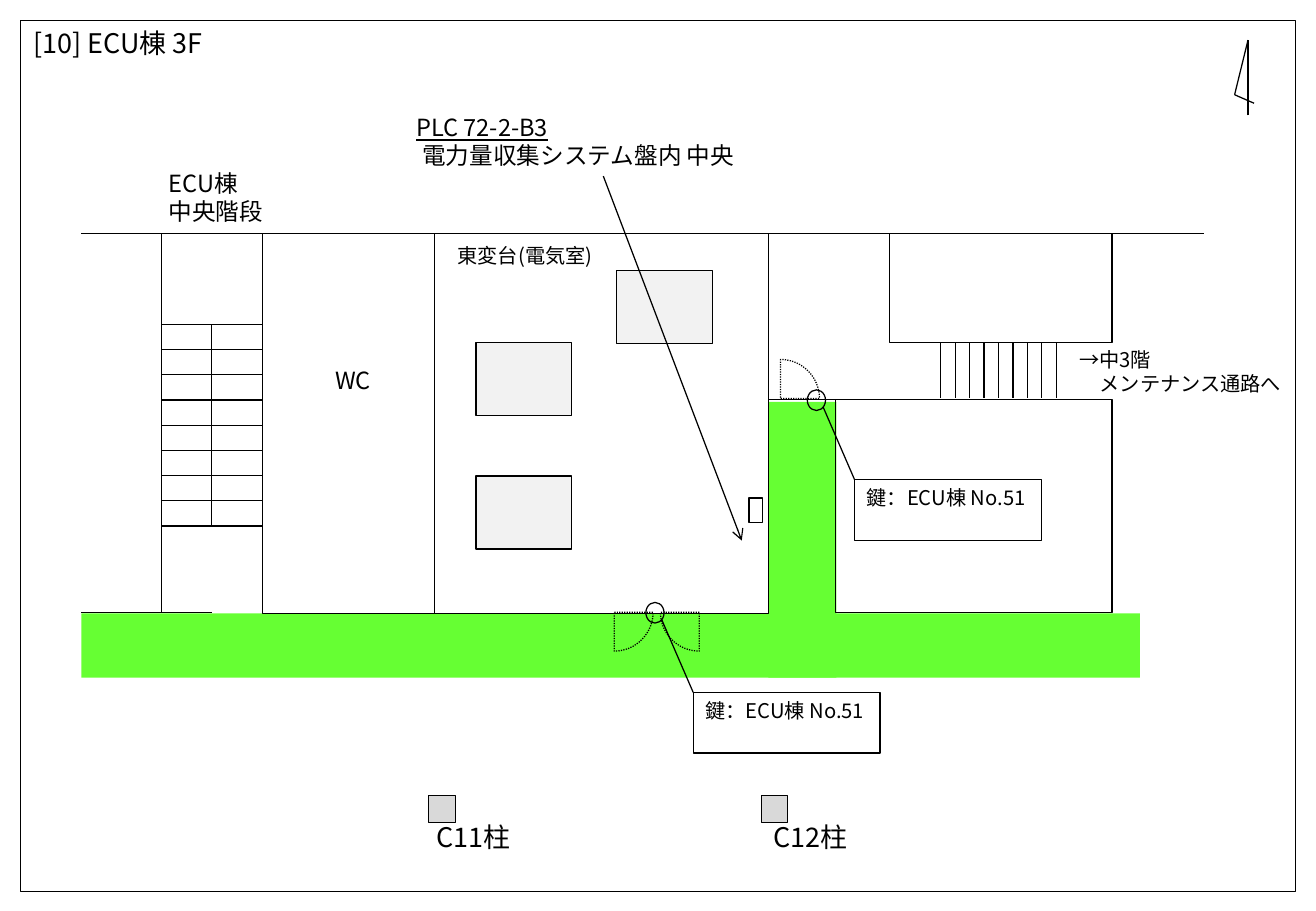
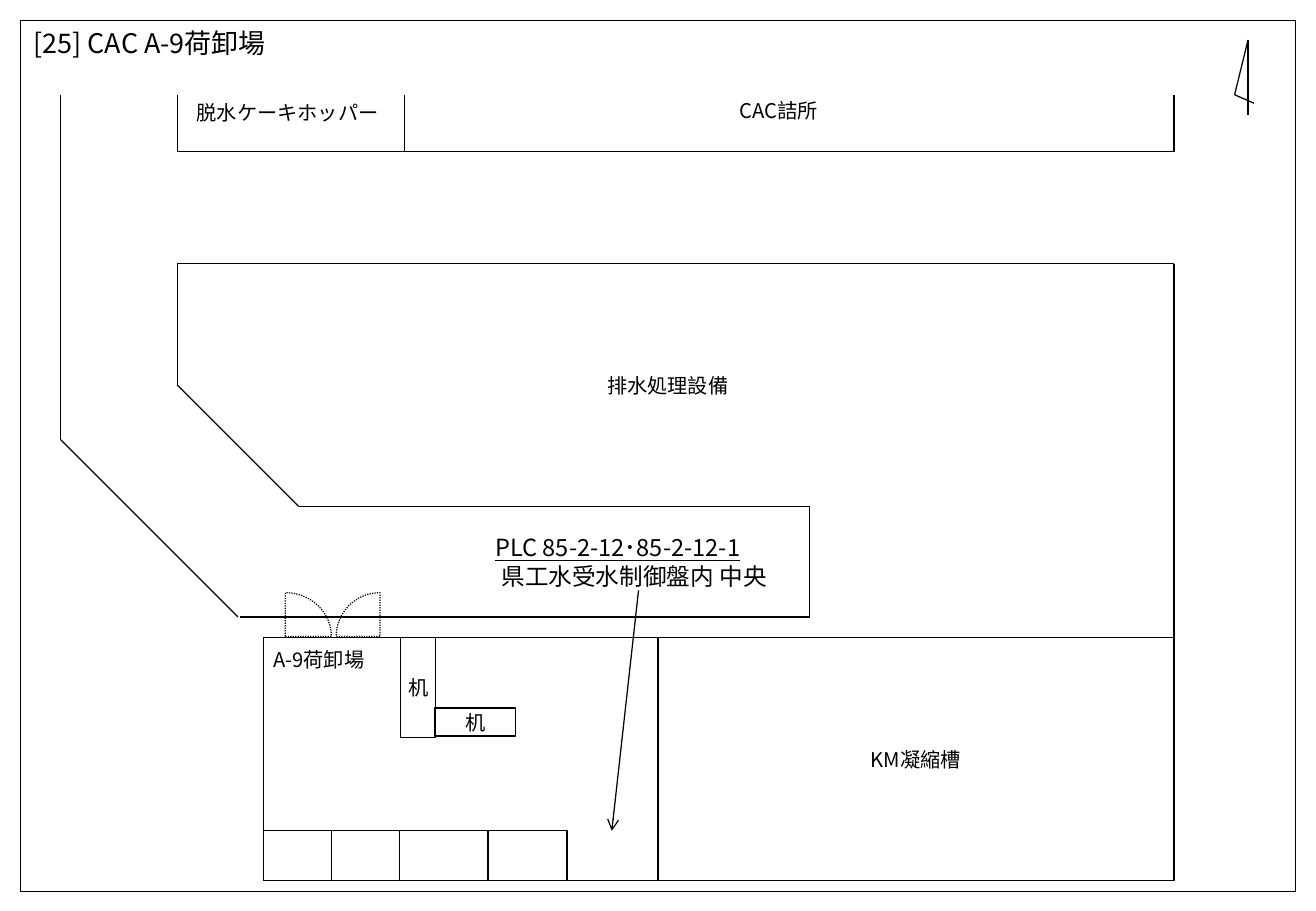
import math
from itertools import pairwise

from lxml import etree
from pptx import Presentation
from pptx.dml.color import RGBColor
from pptx.enum import dml, shapes, text
from pptx.oxml.ns import qn
from pptx.util import Inches, Pt

BLACK = RGBColor(0x00, 0x00, 0x00)
WHITE = RGBColor(0xFF, 0xFF, 0xFF)
ROUTE_GREEN = RGBColor(0x66, 0xFF, 0x33)
PILLAR_GREY = RGBColor(0xD9, 0xD9, 0xD9)
PANEL_GREY = RGBColor(0xF2, 0xF2, 0xF2)
FONT = "Noto Sans CJK JP"
LINE_WIDTH = Pt(0.75)
RECT = shapes.MSO_SHAPE.RECTANGLE
OVAL = shapes.MSO_SHAPE.OVAL


# Text
def write(frame, content, size=12, align=text.PP_ALIGN.LEFT,
          anchor=text.MSO_ANCHOR.TOP, inset=(0.1, 0.05),
          underline_first=False, indent=0):
    """Write lines into a frame; indent applies to lines after the first."""
    frame.word_wrap = True
    frame.vertical_anchor = anchor
    frame.margin_left = frame.margin_right = Inches(inset[0])
    frame.margin_top = frame.margin_bottom = Inches(inset[1])
    for number, line in enumerate(content.split("\n")):
        paragraph = frame.add_paragraph() if number else frame.paragraphs[0]
        paragraph.alignment = align
        if number and indent:
            paragraph._p.get_or_add_pPr().set("marL", str(Inches(indent)))
        run = paragraph.add_run()
        run.text = line
        run.font.size = Pt(size)
        run.font.name = FONT
        run.font.color.rgb = BLACK
        if underline_first and number == 0:
            run.font.underline = True
        east_asian = etree.SubElement(run._r.get_or_add_rPr(), qn("a:ea"))
        east_asian.set("typeface", FONT)


def label(slide, x, y, w, h, content, **style):
    frame = slide.shapes.add_textbox(*map(Inches, (x, y, w, h))).text_frame
    write(frame, content, **style)


# Outlines and lines
def style_shape(shape, fill=None, outlined=True):
    shape.shadow.inherit = False
    if fill is None:
        shape.fill.background()
    else:
        shape.fill.solid()
        shape.fill.fore_color.rgb = fill
    if outlined:
        shape.line.color.rgb = BLACK
        shape.line.width = LINE_WIDTH
    else:
        shape.line.fill.background()


def area(slide, x, y, w, h, content=None, kind=RECT, fill=None,
         outlined=True, **style):
    shape = slide.shapes.add_shape(kind, *map(Inches, (x, y, w, h)))
    style_shape(shape, fill, outlined)
    if content:
        write(shape.text_frame, content, **style)


def room(slide, x, y, w, h, name):
    area(slide, x, y, w, h, name, align=text.PP_ALIGN.CENTER,
         anchor=text.MSO_ANCHOR.MIDDLE, inset=(0, 0))


def wall(slide, *points, arrow=False):
    """Draw straight lines through the given points."""
    for start, end in pairwise(points):
        segment = slide.shapes.add_connector(
            shapes.MSO_CONNECTOR.STRAIGHT, *map(Inches, (*start, *end)))
        segment.line.color.rgb = BLACK
        segment.line.width = LINE_WIDTH
        if arrow:
            tail = etree.SubElement(segment.line._get_or_add_ln(),
                                    qn("a:tailEnd"))
            tail.set("type", "arrow")
        etree.SubElement(segment._element.spPr, qn("a:effectLst"))


def door_leaf(slide, hinge_x, hinge_y, dx, dy, steps=24):
    """Dotted quarter circle swung from the hinge towards dx, dy."""
    angles = [math.pi / 2 * step / steps for step in range(steps + 1)]
    arc = [(Inches(hinge_x + dx * math.cos(a)),
            Inches(hinge_y + dy * math.sin(a))) for a in angles]
    builder = slide.shapes.build_freeform(Inches(hinge_x), Inches(hinge_y))
    builder.add_line_segments(arc, close=True)
    leaf = builder.convert_to_shape()
    style_shape(leaf)
    leaf.line.dash_style = dml.MSO_LINE.ROUND_DOT


def key_callout(slide, x, y):
    area(slide, x, y, 1.54, 0.5, "鍵：ECU棟 No.51", fill=WHITE)
    area(slide, x - 0.39, y - 0.74, 0.15, 0.17, kind=OVAL)
    wall(slide, (x - 0.26, y - 0.6), (x, y))


# Parts that both slides share
def add_map_slide(deck, title):
    slide = deck.slides.add_slide(deck.slide_layouts[6])
    area(slide, 0.17, 0.17, 10.5, 7.17)
    label(slide, 0.18, 0.17, 2.57, 0.37, title, size=16)
    # North mark
    wall(slide, (10.28, 0.95), (10.28, 0.33), (10.17, 0.78), (10.33, 0.85))
    return slide


def build_ecu_floor(deck):
    slide = add_map_slide(deck, "[10] ECU棟 3F")
    north, south = 1.92, 5.05

    # Green route
    area(slide, 6.33, 3.31, 0.56, 2.27, fill=ROUTE_GREEN, outlined=False)
    area(slide, 0.67, south, 8.72, 0.53, fill=ROUTE_GREEN, outlined=False)

    # Pillars
    for x, text_x, name in ((3.53, 3.5, "C11柱"), (6.27, 6.27, "C12柱")):
        area(slide, x, 6.55, 0.22, 0.22, fill=PILLAR_GREY)
        label(slide, text_x, 6.71, 0.92, 0.37, name, size=16)

    # Walls and rooms
    wall(slide, (0.67, north), (9.92, north))
    wall(slide, (0.67, 5.04), (1.75, 5.04))
    wall(slide, (1.33, north), (1.33, 5.04))
    wall(slide, (6.33, 3.29), (6.88, 3.29))
    for x, y, w, h in ((2.16, north, 1.42, 3.13), (3.58, north, 2.75, 3.13),
                       (6.88, 3.29, 2.28, 1.75), (7.33, north, 1.83, 0.9)):
        area(slide, x, y, w, h)

    # Equipment in the substation
    for x, y in ((3.92, 2.82), (3.92, 3.92), (5.08, 2.23)):
        area(slide, x, y, 0.79, 0.6, fill=PANEL_GREY)
    area(slide, 6.17, 4.1, 0.11, 0.2)

    # Central stairs
    for step in range(9):
        y = 2.67 + step * 1.66 / 8
        wall(slide, (1.33, y), (2.16, y))
    wall(slide, (1.74, 2.67), (1.74, 4.33))

    # Stairs to the mezzanine
    for step in range(9):
        x = 7.75 + step * 0.95 / 8
        wall(slide, (x, 2.82), (x, 3.28))
    for y in (2.82, 3.29):
        wall(slide, (7.75, y), (8.7, y))

    # Doors
    door_leaf(slide, 5.06, 5.04, 0.32, 0.32)
    door_leaf(slide, 5.76, 5.04, -0.32, 0.32)
    door_leaf(slide, 6.43, 3.28, 0.32, -0.32)

    # Names
    label(slide, 3.33, 0.88, 3.28, 0.57,
          "PLC 72-2-B3\n電力量収集システム盤内 中央",
          size=14, underline_first=True, indent=0.05)
    label(slide, 1.29, 1.34, 1.29, 0.57, "ECU棟\n中央階段", size=14)
    label(slide, 2.58, 2.96, 0.66, 0.34, "WC", size=14,
          align=text.PP_ALIGN.CENTER)
    label(slide, 3.67, 1.95, 1.42, 0.5, "東変台(電気室)")
    label(slide, 8.79, 2.81, 1.9, 0.5, "→中3階\nメンテナンス通路へ",
          indent=0.17)

    # Pointer and keys
    wall(slide, (4.97, 1.45), (6.11, 4.45), arrow=True)
    key_callout(slide, 7.04, 3.95)
    key_callout(slide, 5.71, 5.7)


def build_unloading_area(deck):
    slide = add_map_slide(deck, "[25] CAC A-9荷卸場")
    west, east = 1.46, 9.67

    # Buildings on the north side
    wall(slide, (west, 0.78), (west, 1.25), (east, 1.25), (east, 0.78))
    wall(slide, (3.33, 0.78), (3.33, 1.25))

    # Drainage plant and the road around it
    wall(slide, (east, 5.33), (east, 2.17), (west, 2.17), (west, 3.17),
         (2.46, 4.17), (6.67, 4.17), (6.67, 5.08), (1.98, 5.08))
    wall(slide, (0.5, 0.78), (0.5, 3.62), (1.96, 5.08))

    # Unloading area and tank
    area(slide, 2.17, 5.25, 3.25, 2)
    room(slide, 5.42, 5.25, 4.25, 2, "KM凝縮槽")
    room(slide, 3.3, 5.25, 0.29, 0.82, "机")
    room(slide, 3.58, 5.83, 0.67, 0.23, "机")
    for left, right in pairwise((2.17, 2.73, 3.29, 4.02, 4.67)):
        area(slide, left, 6.84, right - left, 0.41)

    # Double door
    door_leaf(slide, 2.35, 5.24, 0.38, -0.36)
    door_leaf(slide, 3.13, 5.24, -0.36, -0.36)

    # Names
    for x, y, w, h, name in ((2.25, 5.33, 0.89, 0.2, "A-9荷卸場"),
                             (5, 3.07, 1.18, 0.2, "排水処理設備"),
                             (6.09, 0.81, 0.66, 0.4, "CAC詰所"),
                             (1.62, 0.83, 1.55, 0.2, "脱水ケーキホッパー")):
        label(slide, x, y, w, h, name, inset=(0, 0))
    label(slide, 4.08, 4.39, 2.35, 0.7,
          "PLC 85-2-12･85-2-12-1\n県工水受水制御盤内 中央",
          size=14, inset=(0, 0), underline_first=True, indent=0.05)
    wall(slide, (5.26, 4.86), (5.04, 6.84), arrow=True)


def main():
    deck = Presentation()
    deck.slide_width, deck.slide_height = Inches(10.84), Inches(7.5)
    build_ecu_floor(deck)
    build_unloading_area(deck)
    deck.save("out.pptx")


if __name__ == "__main__":
    main()
